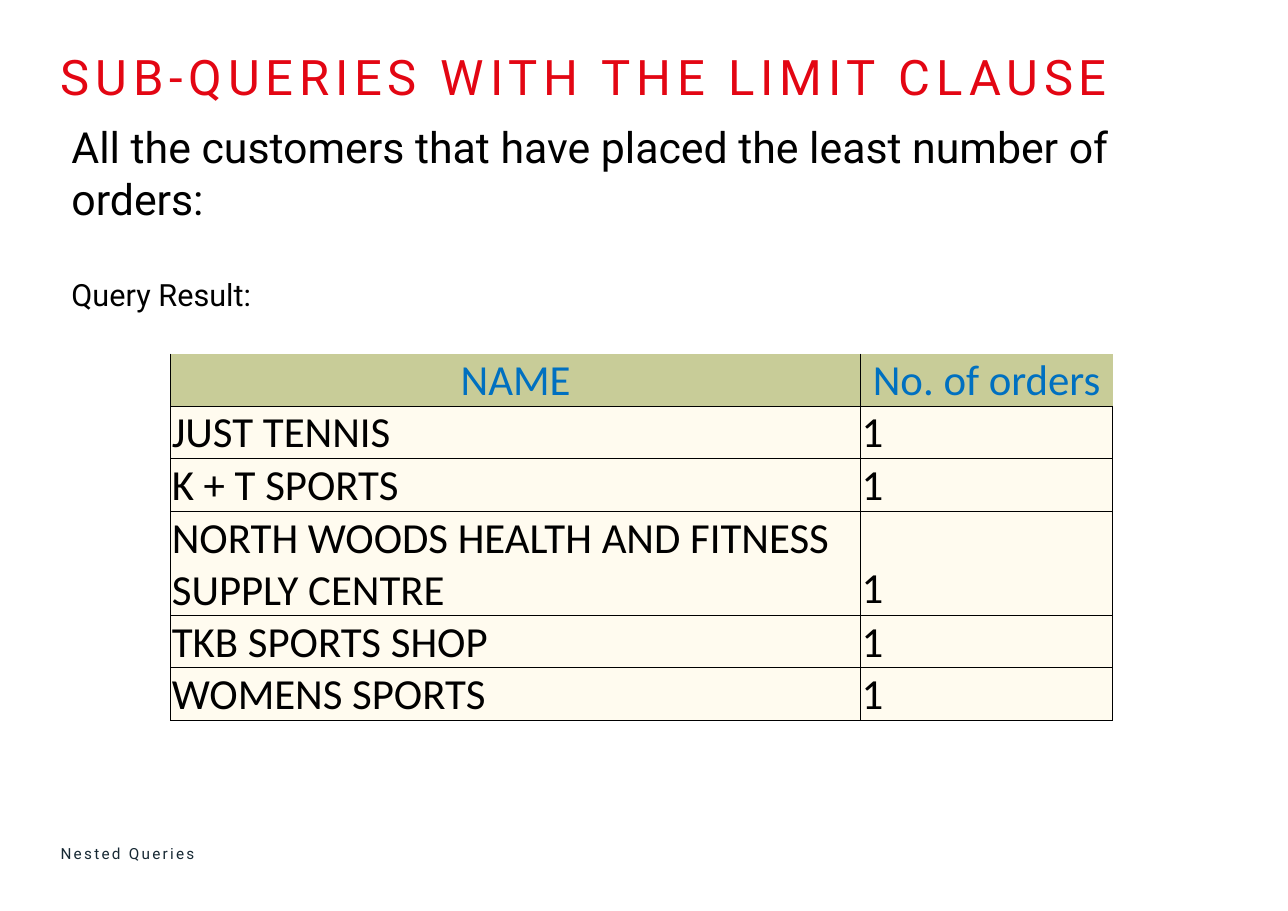
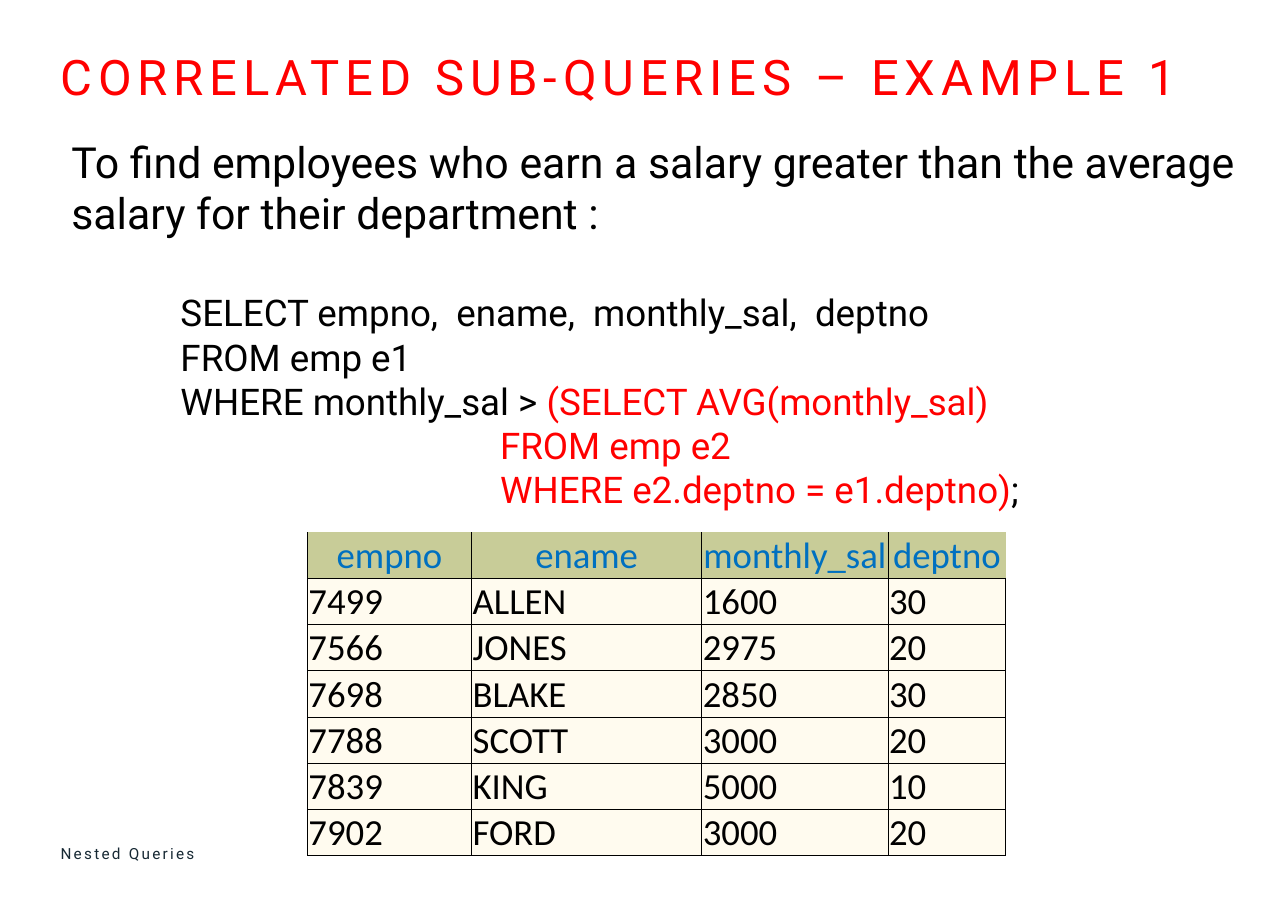
from dataclasses import dataclass
from typing import Any

import lxml.etree
import pptx
import pptx.dml.color
import pptx.enum.shapes
import pptx.enum.text
import pptx.oxml.ns
import pptx.util

Inches = pptx.util.Inches
Pt = pptx.util.Pt
RGBColor = pptx.dml.color.RGBColor
Align = pptx.enum.text.PP_ALIGN
Anchor = pptx.enum.text.MSO_ANCHOR
AutoSize = pptx.enum.text.MSO_AUTO_SIZE
qn = pptx.oxml.ns.qn

BLACK = RGBColor(0x00, 0x00, 0x00)
WHITE = RGBColor(0xFF, 0xFF, 0xFF)
RED = RGBColor(0xFF, 0x00, 0x00)
TITLE_RED = RGBColor(0xE3, 0x06, 0x13)
FOOTER_INK = RGBColor(0x17, 0x29, 0x34)
HEADER_BLUE = RGBColor(0x00, 0x70, 0xC0)
HEADER_FILL = RGBColor(0xC8, 0xCC, 0x98)
ROW_FILL = RGBColor(0xFF, 0xFB, 0xEF)

TEXT_FONT = "Roboto"
TABLE_FONT = "Calibri"
LEFT = 0.55
CODE_INDENT = 0.99
SUBQUERY_INDENT = 3.89
SECTION_GAP = 34
NO_TABLE_STYLE = "{2D5ABB26-0587-4C30-8999-92F81FD0307C}"

FLUSH_FRAME = {
    "margin_left": 0, "margin_top": 0, "margin_right": 0, "margin_bottom": 0,
    "word_wrap": True, "auto_size": AutoSize.NONE,
}
TITLE_FRAME = FLUSH_FRAME | {"vertical_anchor": Anchor.TOP}
FOOTER_FRAME = FLUSH_FRAME | {"vertical_anchor": Anchor.MIDDLE}
BODY_FRAME = {
    "word_wrap": True, "auto_size": AutoSize.SHAPE_TO_FIT_TEXT,
    "vertical_anchor": Anchor.TOP,
}
CELL_MARGINS = {
    "margin_left": Inches(0.01), "margin_top": Inches(0.01),
    "margin_right": Inches(0.01), "margin_bottom": 0,
}


@dataclass(frozen=True)
class Span:
    text: str
    color: RGBColor = BLACK


@dataclass(frozen=True)
class Line:
    spans: tuple[Span, ...]
    size: float
    indent: float = 0
    gap: float = 0


@dataclass(frozen=True)
class Grid:
    left: float
    top: float
    columns: tuple[float, ...]
    row_height: float
    size: float
    rows: tuple[tuple[str, ...], ...]


@dataclass(frozen=True)
class Page:
    title: str
    title_color: RGBColor
    title_height: float
    body_top: float
    body_height: float
    lines: tuple[Line, ...]
    grid: Grid


def apply_format(target: Any, values: dict[str, Any]) -> None:
    for name, value in values.items():
        setattr(target, name, value)


def box_at(left: float, top: float, width: float, height: float) -> dict[str, Any]:
    return {"left": Inches(left), "top": Inches(top),
            "width": Inches(width), "height": Inches(height)}


def add_span(para: Any, text: str, font_name: str, size: float,
             color: RGBColor, spacing: float = 0) -> None:
    span = para.add_run()
    span.text = text
    apply_format(span.font, {"name": font_name, "size": Pt(size), "bold": False})
    span.font.color.rgb = color
    if spacing:
        span._r.get_or_add_rPr().set("spc", str(round(spacing * 100)))


def add_title(slide: Any, page: Page) -> None:
    box = slide.shapes.title
    apply_format(box, box_at(LEFT, 0.42, 10.53, page.title_height))
    apply_format(box.text_frame, TITLE_FRAME)
    para = box.text_frame.paragraphs[0]
    para.alignment = Align.LEFT
    add_span(para, page.title, TEXT_FONT, 32, page.title_color, 3.8)


def add_body(slide: Any, page: Page) -> None:
    place = box_at(LEFT, page.body_top, 10.83, page.body_height)
    box = slide.shapes.add_shape(pptx.enum.shapes.MSO_SHAPE.RECTANGLE, **place)
    box.shadow.inherit = False
    box.fill.solid()
    box.fill.fore_color.rgb = WHITE
    box.line.fill.background()
    frame = box.text_frame
    apply_format(frame, BODY_FRAME)
    for index, line in enumerate(page.lines):
        para = frame.add_paragraph() if index else frame.paragraphs[0]
        para.alignment = Align.LEFT
        if line.gap:
            para.space_before = Pt(line.gap)
        if line.indent:
            para._p.get_or_add_pPr().set("marL", str(Inches(line.indent)))
        for span in line.spans:
            add_span(para, span.text, TEXT_FONT, line.size, span.color)


def add_footer(slide: Any) -> None:
    box = slide.shapes.add_textbox(**box_at(LEFT, 7.64, 7.29, 0.22))
    apply_format(box.text_frame, FOOTER_FRAME)
    add_span(box.text_frame.paragraphs[0], "Nested Queries", TEXT_FONT, 10, FOOTER_INK, 1.5)


def set_borders(cell: Any, hidden: set[str]) -> None:
    properties = cell._tc.get_or_add_tcPr()
    for side in "LRTB":
        line = lxml.etree.SubElement(properties, qn(f"a:ln{side}"), w=str(Pt(0.5)))
        if side in hidden:
            lxml.etree.SubElement(line, qn("a:noFill"))
        else:
            fill = lxml.etree.SubElement(line, qn("a:solidFill"))
            lxml.etree.SubElement(fill, qn("a:srgbClr"), val=str(BLACK))


def add_grid(slide: Any, grid: Grid) -> None:
    row_count, column_count = len(grid.rows), len(grid.columns)
    place = box_at(grid.left, grid.top, sum(grid.columns), grid.row_height * row_count)
    table = slide.shapes.add_table(row_count, column_count, **place).table
    apply_format(table, {"first_row": False, "horz_banding": False})
    table._tbl.tblPr.find(qn("a:tableStyleId")).text = NO_TABLE_STYLE
    for column, width in zip(table.columns, grid.columns):
        column.width = Inches(width)
    for row_index, texts in enumerate(grid.rows):
        table.rows[row_index].height = Inches(grid.row_height)
        header = row_index == 0
        for column_index, text in enumerate(texts):
            cell = table.cell(row_index, column_index)
            hidden = {"T"} if header else set()
            if header and column_index == column_count - 1:
                hidden.add("R")
            set_borders(cell, hidden)
            apply_format(cell, CELL_MARGINS)
            cell.vertical_anchor = Anchor.MIDDLE if header else Anchor.BOTTOM
            cell.fill.solid()
            cell.fill.fore_color.rgb = HEADER_FILL if header else ROW_FILL
            para = cell.text_frame.paragraphs[0]
            para.alignment = Align.CENTER if header else Align.LEFT
            add_span(para, text, TABLE_FONT, grid.size, HEADER_BLUE if header else BLACK)


def code_line(*spans: Span, indent: float = CODE_INDENT, gap: float = 0) -> Line:
    return Line(spans, 24, indent, gap)


PAGES = (
    Page(
        "SUB-QUERIES WITH THE LIMIT CLAUSE", TITLE_RED, 0.58, 1.05, 1.85,
        (
            Line((Span("All the customers that have placed the least number of orders:"),), 28),
            Line((Span("Query Result:"),), 20, gap=SECTION_GAP),
        ),
        Grid(1.55, 3.21, (6.26, 2.29), 0.45, 28, (
            ("NAME", "No. of orders"),
            ("JUST TENNIS", "1"),
            ("K + T SPORTS", "1"),
            ("NORTH WOODS HEALTH AND FITNESS SUPPLY CENTRE", "1"),
            ("TKB SPORTS SHOP", "1"),
            ("WOMENS SPORTS", "1"),
        )),
    ),
    Page(
        "CORRELATED SUB-QUERIES – EXAMPLE 1", RED, 0.62, 1.18, 3.53,
        (
            Line((Span("To find employees who earn a salary greater than the average "
                       "salary for their department :"),), 28),
            code_line(Span("SELECT empno,  ename,  monthly_sal,  deptno"), gap=SECTION_GAP),
            code_line(Span("FROM emp e1")),
            code_line(Span("WHERE monthly_sal > "), Span("(SELECT AVG(monthly_sal)", RED)),
            code_line(Span("FROM emp e2", RED), indent=SUBQUERY_INDENT),
            code_line(Span("WHERE e2.deptno = e1.deptno)", RED), Span(";"),
                      indent=SUBQUERY_INDENT),
        ),
        Grid(2.79, 4.83, (1.49, 2.09, 1.69, 1.07), 0.42, 24, (
            ("empno", "ename", "monthly_sal", "deptno"),
            ("7499", "ALLEN", "1600", "30"),
            ("7566", "JONES", "2975", "20"),
            ("7698", "BLAKE", "2850", "30"),
            ("7788", "SCOTT", "3000", "20"),
            ("7839", "KING", "5000", "10"),
            ("7902", "FORD", "3000", "20"),
        )),
    ),
)


def main() -> None:
    deck = pptx.Presentation()
    apply_format(deck, {"slide_width": Inches(11.69), "slide_height": Inches(8.27)})
    title_only = deck.slide_layouts.get_by_name("Title Only")
    for page in PAGES:
        slide = deck.slides.add_slide(title_only)
        add_title(slide, page)
        add_body(slide, page)
        add_footer(slide)
        add_grid(slide, page.grid)
    deck.save("out.pptx")


if __name__ == "__main__":
    main()
